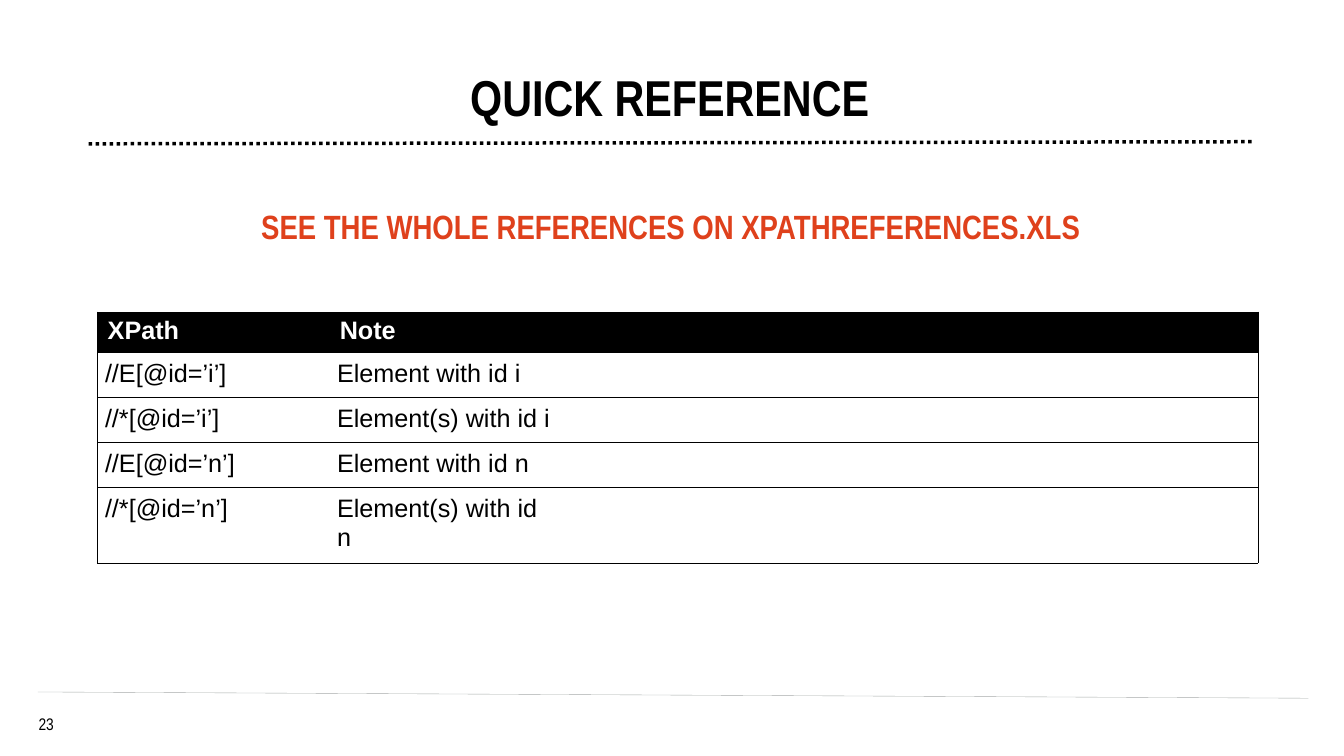
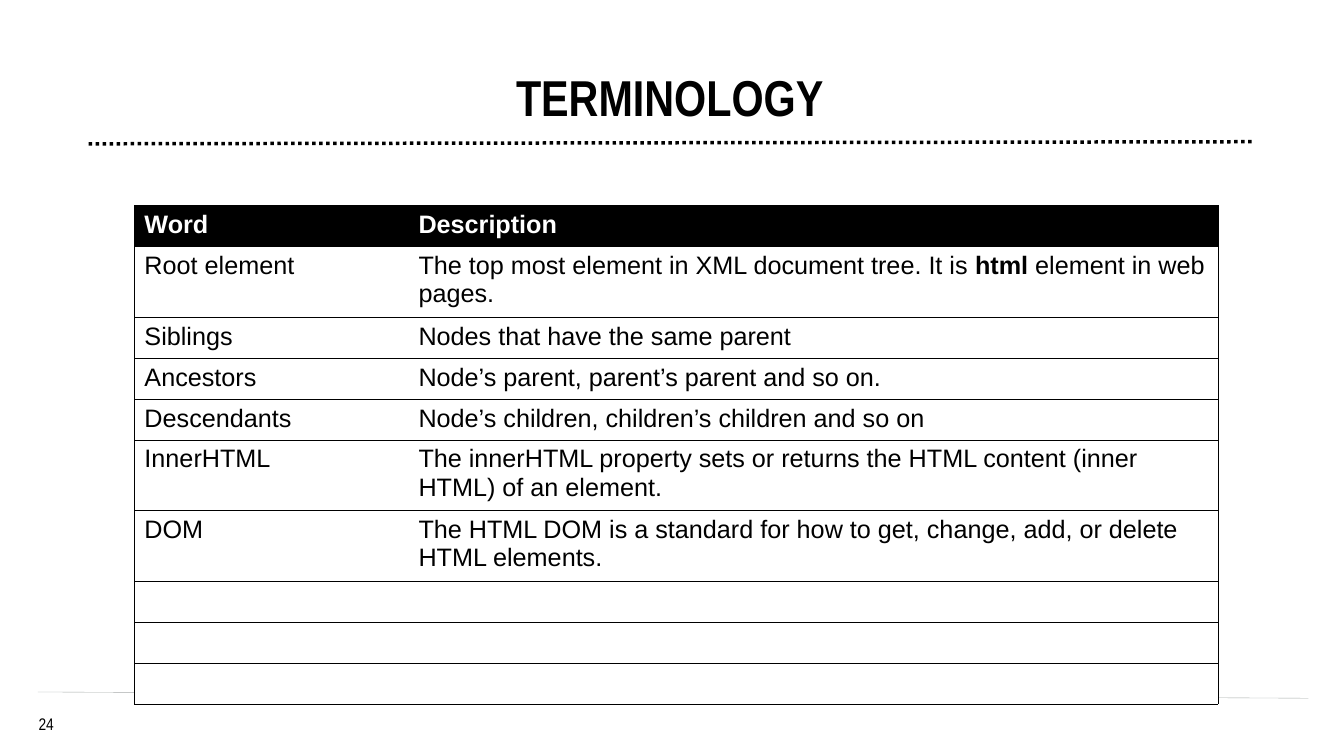
from lxml import etree
from pptx import Presentation, util as u
from pptx.dml.color import RGBColor
from pptx.enum import dml, shapes, text
from pptx.oxml.ns import qn

INK = {"black": "000000", "white": "FFFFFF", "grey": "A6AAA9", "red": "DF411C"}
HEAD, SANS = "Arial Narrow", "Arial"
PLAIN = "{2D5ABB26-0587-4C30-8999-92F81FD0307C}"  # table style without grid
ROW = 39


def px(n):
    return u.Emu(n * 9525)


def rgb(name):
    return RGBColor.from_string(INK[name])


class Deck:
    """The shared style and the slide being built."""

    def __init__(self):
        self.prs = Presentation()
        self.prs.slide_width, self.prs.slide_height = px(1280), px(720)

    def start(self, title, page, layout):
        self.slide = self.prs.slides.add_slide(self.prs.slide_layouts[layout])
        self.line((36, 659), (1246, 665), "grey", 0.25)
        dots = self.line((1192, 135), (84, 137), "black", 2.5)
        dots.dash_style = dml.MSO_LINE.ROUND_DOT
        self.number(page)
        self.holder(0, title, (127, 16, 1032, 108), 36, "black", 0.7)

    def line(self, start, end, ink, width):
        link = self.slide.shapes.add_connector(
            shapes.MSO_CONNECTOR.STRAIGHT, *map(px, start + end))
        link.line.color.rgb = rgb(ink)
        link.line.width = u.Pt(width)
        etree.SubElement(link._element.spPr, qn("a:effectLst"))
        return link.line

    def font(self, para, size, ink, face, bold=False):
        font = para.font
        font.name, font.size, font.bold = face, u.Pt(size), bold
        font.color.rgb = rgb(ink)

    def inset(self, box, left, top, right, bottom):
        box.margin_left, box.margin_top = px(left), px(top)
        box.margin_right, box.margin_bottom = px(right), px(bottom)

    def number(self, page):
        frame = self.slide.shapes.add_textbox(*map(px, (21, 680, 46, 19))).text_frame
        frame.word_wrap = True
        self.inset(frame, 0, 0, 0, 0)
        para = frame.paragraphs[0]
        para.text = str(page)
        para.alignment = text.PP_ALIGN.CENTER
        self.font(para, 12, "black", HEAD)

    def holder(self, idx, words, box, size, ink, gap):
        """Fill a placeholder with one bold centred line."""
        shape = self.slide.placeholders[idx]
        shape.left, shape.top, shape.width, shape.height = map(px, box)
        frame = shape.text_frame
        frame.auto_size = text.MSO_AUTO_SIZE.NONE
        frame.vertical_anchor = text.MSO_ANCHOR.BOTTOM
        self.inset(frame, 0, 5, 10, 5)
        para = frame.paragraphs[0]
        para.text = words
        para.alignment = text.PP_ALIGN.CENTER
        para.line_spacing, para.space_before = gap, u.Pt(0)
        props = para._p.get_or_add_pPr()
        props.set("marL", "0")
        props.set("indent", "0")
        etree.SubElement(props, qn("a:buNone"))
        self.font(para, size, ink, HEAD, True)

    def table(self, left, top, cols, rows, pad=None):
        """Draw a ruled table; rows may be shorter than cols."""
        frame = self.slide.shapes.add_table(
            len(rows), len(cols), *map(px, (left, top, sum(cols), ROW * len(rows))))
        table = frame.table
        next(frame._element.iter(qn("a:tableStyleId"))).text = PLAIN
        table.horz_banding = False
        for col, width in zip(table.columns, cols):
            col.width = px(width)
        for r, words in enumerate(rows):
            table.rows[r].height = px(ROW)
            for c in range(len(cols)):
                cell = table.cell(r, c)
                sides = "L" * (c == 0) + "R" * (c == len(cols) - 1) + "TB"
                self.border(cell, sides)
                cell.fill.solid()
                cell.fill.fore_color.rgb = rgb("white" if r else "black")
                if pad and r and c < len(words):
                    self.inset(cell, pad, pad, pad, pad)
                self.label(cell, words[c] if c < len(words) else "", r == 0)

    def border(self, cell, sides):
        props = cell._tc.get_or_add_tcPr()
        for side in sides:
            line = etree.SubElement(props, qn("a:ln" + side), w=str(u.Pt(0.5)))
            fill = etree.SubElement(line, qn("a:solidFill"))
            etree.SubElement(fill, qn("a:srgbClr"), val=INK["black"])

    def label(self, cell, words, head):
        """Put words in a cell; parts between ** pairs are bold."""
        para = cell.text_frame.paragraphs[0]
        for i, part in enumerate(words.split("**")):
            if part:
                run = para.add_run()
                run.text = part
                if i % 2:
                    run.font.bold = True
        self.font(para, 18, "white" if head else "black", SANS, head)


def main():
    deck = Deck()

    deck.start("QUICK REFERENCE", 23, 1)
    deck.holder(1, "SEE THE WHOLE REFERENCES ON XPATHREFERENCES.XLS",
                (128, 196, 1032, 44), 24, "red", 0.9)
    deck.table(93, 297, [221] * 5, [
        ("XPath", "Note"),
        ("//E[@id=’i’]", "Element with id i"),
        ("//*[@id=’i’]", "Element(s) with id i"),
        ("//E[@id=’n’]", "Element with id n"),
        ("//*[@id=’n’]", "Element(s) with id n"),
    ], pad=7)

    deck.start("TERMINOLOGY", 24, 5)
    deck.table(128, 196, [261, 771], [
        ("Word", "Description"),
        ("Root element", "The top most element in XML document tree. "
                         "It is **html** element in web pages."),
        ("Siblings", "Nodes that have the same parent"),
        ("Ancestors", "Node’s parent, parent’s parent and so on."),
        ("Descendants", "Node’s children, children’s children and so on"),
        ("InnerHTML", "The innerHTML property sets or returns the HTML content "
                      "(inner HTML) of an element."),
        ("DOM", "The HTML DOM is a standard for how to get, change, add, "
                "or delete HTML elements."),
    ] + [()] * 3)

    deck.prs.save("out.pptx")


if __name__ == "__main__":
    main()
